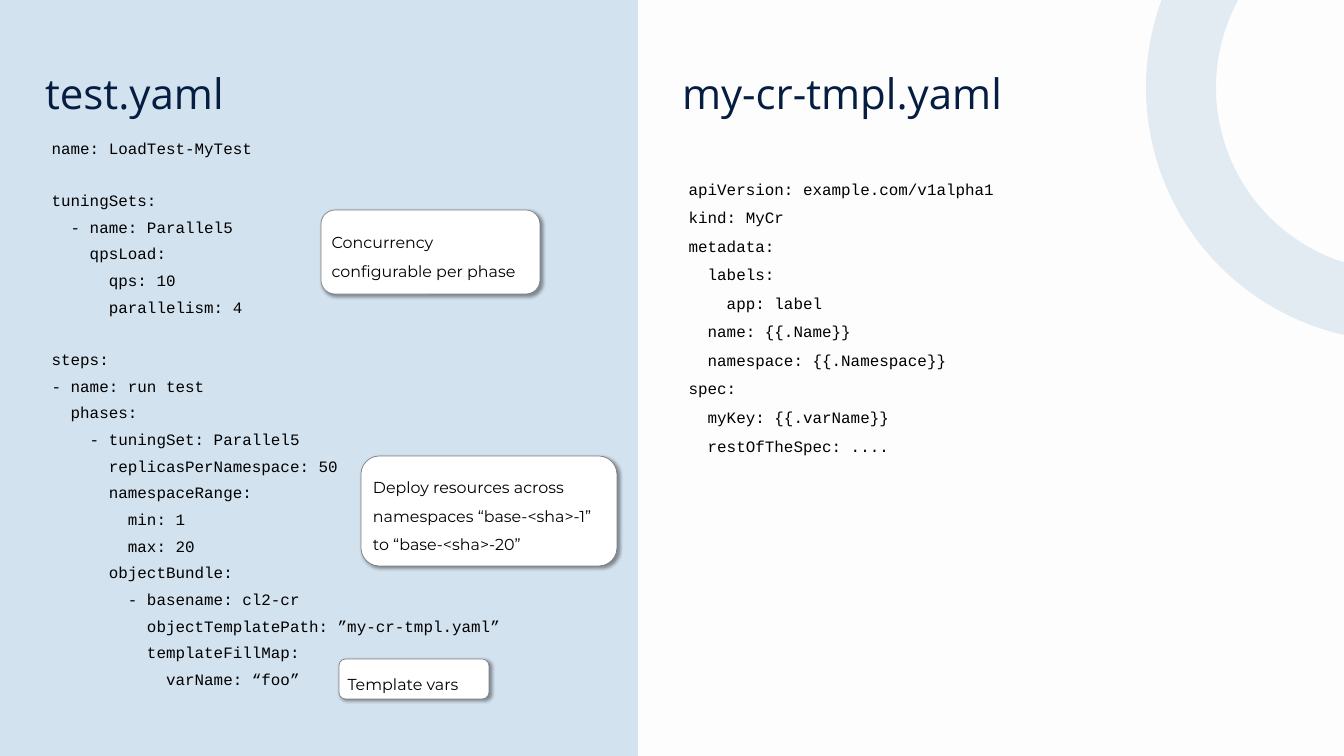
import pptx
import pptx.util
import pptx.dml.color
import pptx.enum.shapes
import pptx.enum.text
import pptx.oxml
import pptx.oxml.ns
from lxml import etree

SCALE = 20 * 914400 / 1344  # EMU per px
COLORS = {
    "background": "FDFDFD", "panel": "D3E2EF", "ring": "5B98BA", "title": "051D40",
    "text": "000000", "callout": "FFFFFF", "outline": "808080",
}
CODE_FONT, CALLOUT_FONT, TITLE_FONT = "Courier New", "Montserrat", "Open Sans"
BODY_SIZE, TITLE_SIZE = 17, 45
LINE_HEIGHT = 19.26  # one line of code, in points

# Content
TITLES = [("test.yaml", 45), ("my-cr-tmpl.yaml", 682)]

TEST_YAML = """name: LoadTest-MyTest

tuningSets:
  - name: Parallel5
    qpsLoad:
      qps: 10
      parallelism: 4

steps:
- name: run test
  phases:
    - tuningSet: Parallel5
      replicasPerNamespace: 50
      namespaceRange:
        min: 1
        max: 20
      objectBundle:
        - basename: cl2-cr
          objectTemplatePath: ”my-cr-tmpl.yaml”
          templateFillMap:
            varName: “foo”"""

TEMPLATE_YAML = """apiVersion: example.com/v1alpha1
kind: MyCr
metadata:
  labels:
    app: label
  name: {{.Name}}
  namespace: {{.Namespace}}
spec:
  myKey: {{.varName}}
  restOfTheSpec: ...."""

# Code, box in px, points between lines, wrapping
LISTINGS = [
    (TEST_YAML, (45, 135, 468, 542), 8.16, False),
    (TEMPLATE_YAML, (682, 176, 528, 276), 10.2, True),
]

CALLOUTS = [
    ("Concurrency configurable per phase", (321, 210, 219, 84)),
    ("Deploy resources across namespaces “base-<sha>-1” to “base-<sha>-20”",
     (361, 456, 256, 110)),
    ("Template vars", (339, 659, 150, 40)),
]


def px(*lengths):
    return [round(length * SCALE) for length in lengths]


def color(name):
    return pptx.dml.color.RGBColor.from_string(COLORS[name])


def add_run(paragraph, text, font, size, color_name):
    run = paragraph.add_run()
    run.text = text
    run.font.name = font
    run.font.size = pptx.util.Pt(size)
    run.font.color.rgb = color(color_name)


def add_preset(slide, kind, box, fill=None):
    shape = slide.shapes.add_shape(kind, *px(*box))
    shape.shadow.inherit = False
    if fill:
        shape.fill.solid()
        shape.fill.fore_color.rgb = color(fill)
    else:
        shape.fill.background()
    shape.line.fill.background()
    return shape


def set_line(shape, color_name, width):
    shape.line.color.rgb = color(color_name)
    shape.line.width = pptx.util.Pt(width)


def add_ring(slide):
    oval = pptx.enum.shapes.MSO_SHAPE.OVAL
    ring = add_preset(slide, oval, (1181, -131, 437, 437))
    set_line(ring, "ring", 75)
    line_color = ring.line._get_or_add_ln().find(".//" + pptx.oxml.ns.qn("a:srgbClr"))
    etree.SubElement(line_color, pptx.oxml.ns.qn("a:alpha"), val="16000")


def add_title(slide, text, left):
    frame = slide.shapes.add_textbox(*px(left, 59, 521, 56)).text_frame
    frame.word_wrap = True
    frame.margin_left = frame.margin_top = frame.margin_right = frame.margin_bottom = 0
    paragraph = frame.paragraphs[0]
    paragraph.line_spacing = pptx.util.Pt(63)
    add_run(paragraph, text, TITLE_FONT, TITLE_SIZE, "title")


def add_listing(slide, code, box, gap, wrap):
    frame = slide.shapes.add_textbox(*px(*box)).text_frame
    frame.word_wrap = wrap
    frame.auto_size = pptx.enum.text.MSO_AUTO_SIZE.SHAPE_TO_FIT_TEXT
    paragraph = frame.paragraphs[0]
    for block_index, block in enumerate(code.split("\n\n")):
        for line_index, line in enumerate(block.split("\n")):
            if block_index or line_index:
                paragraph = frame.add_paragraph()
                # A new block leaves room for one empty line
                space = gap if line_index else 2 * gap + LINE_HEIGHT
                paragraph.space_before = pptx.util.Pt(space)
            add_run(paragraph, line, CODE_FONT, BODY_SIZE, "text")


def add_callout(slide, text, box):
    rounded = pptx.enum.shapes.MSO_SHAPE.ROUNDED_RECTANGLE
    shape = add_preset(slide, rounded, box, "callout")
    set_line(shape, "outline", 0.75)
    effects = shape._element.spPr.find(pptx.oxml.ns.qn("a:effectLst"))
    effects.append(pptx.oxml.parse_xml(
        f'<a:outerShdw {pptx.oxml.ns.nsdecls("a")} blurRad="50800" dist="38100" '
        'dir="2700000" algn="tl" rotWithShape="0">'
        '<a:srgbClr val="000000"><a:alpha val="40000"/></a:srgbClr></a:outerShdw>'))
    frame = shape.text_frame
    frame.word_wrap = True
    frame.vertical_anchor = pptx.enum.text.MSO_ANCHOR.MIDDLE
    paragraph = frame.paragraphs[0]
    paragraph.alignment = pptx.enum.text.PP_ALIGN.LEFT
    paragraph.line_spacing = 1.5
    add_run(paragraph, text, CALLOUT_FONT, BODY_SIZE, "text")


def main():
    presentation = pptx.Presentation()
    presentation.slide_width, presentation.slide_height = px(1344, 756)
    slide = presentation.slides.add_slide(presentation.slide_layouts[6])
    slide.background.fill.solid()
    slide.background.fill.fore_color.rgb = color("background")

    # Left panel and corner ring
    add_preset(slide, pptx.enum.shapes.MSO_SHAPE.RECTANGLE, (0, 0, 638, 756), "panel")
    add_ring(slide)

    # Files and their notes
    for listing in LISTINGS:
        add_listing(slide, *listing)
    for title in TITLES:
        add_title(slide, *title)
    for callout in CALLOUTS:
        add_callout(slide, *callout)

    presentation.save("out.pptx")


if __name__ == "__main__":
    main()
